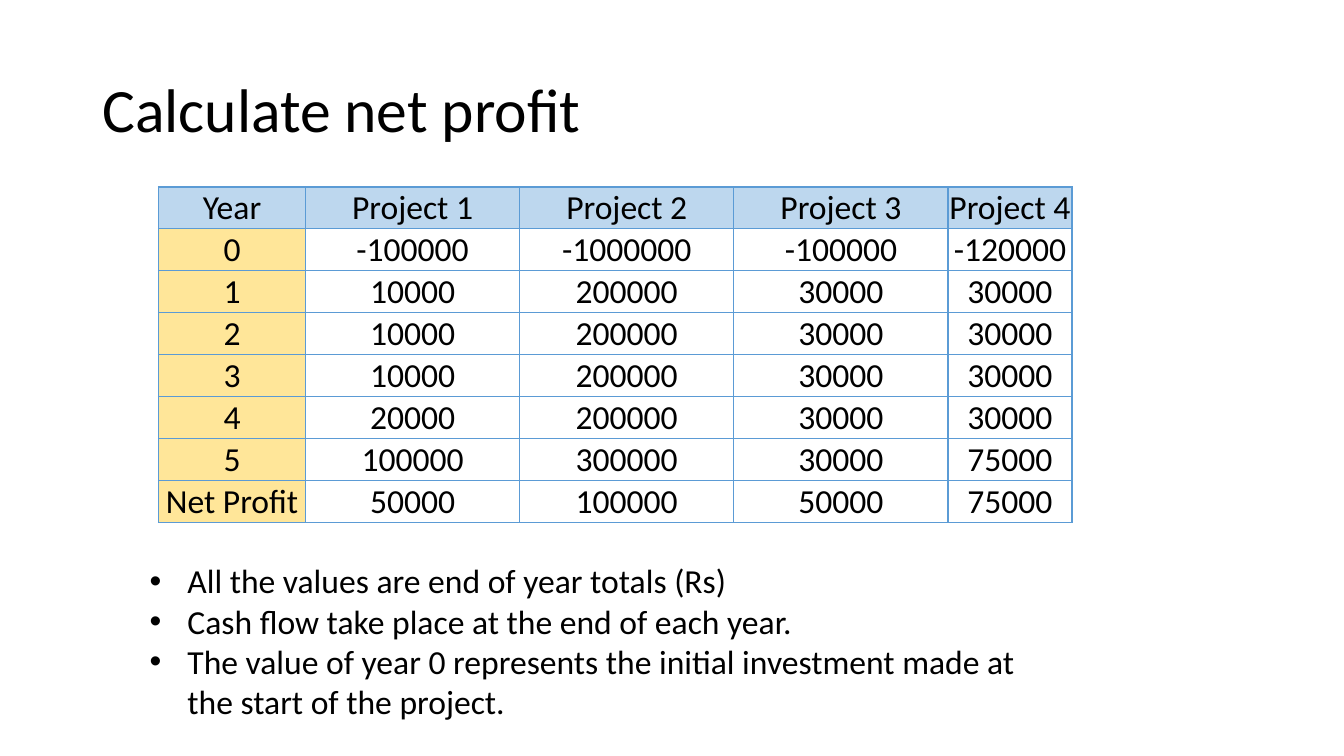
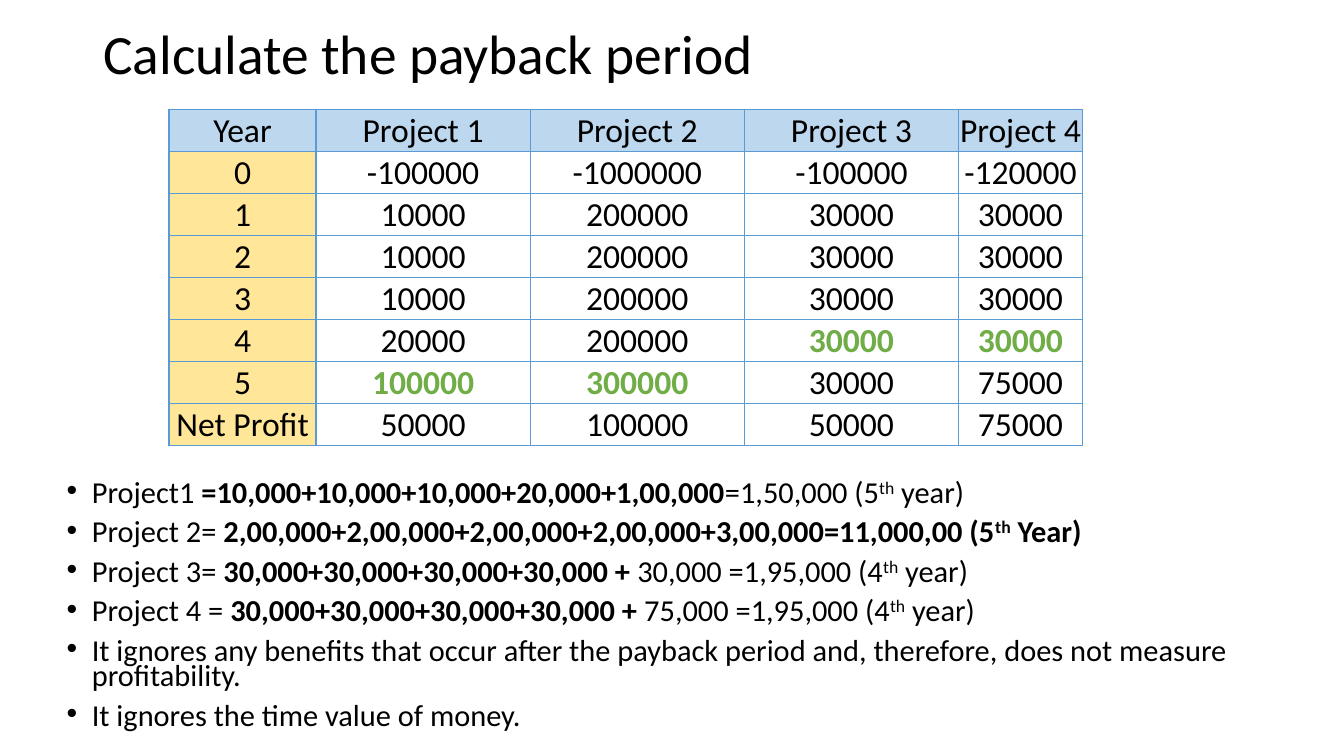
"""Build two slides on net profit and payback period of four projects."""
from lxml import etree
from pptx import Presentation
from pptx import util as u
from pptx.dml.color import RGBColor
from pptx.enum import text
from pptx.oxml import ns

PX = 9525
FONT = "Calibri"
COLORS = {
    "ink": "000000",
    "header": "BDD7EE",
    "year": "FFE699",
    "border": "5B9BD5",
    "payback": "70AD47",
}
COLUMN_WIDTHS = [140, 204, 204, 204, 118]
ROW_HEIGHT = 40
CASH_FLOWS = [
    ["Year", "Project 1", "Project 2", "Project 3", "Project 4"],
    ["0", "-100000", "-1000000", "-100000", "-120000"],
    ["1", "10000", "200000", "30000", "30000"],
    ["2", "10000", "200000", "30000", "30000"],
    ["3", "10000", "200000", "30000", "30000"],
    ["4", "20000", "200000", "30000", "30000"],
    ["5", "100000", "300000", "30000", "75000"],
    ["Net Profit", "50000", "100000", "50000", "75000"],
]
PAYBACK_CELLS = {(6, 1), (6, 2), (5, 3), (5, 4)}

PLAIN, BOLD, RAISED, BOLD_RAISED = (False, False), (True, False), (False, True), (True, True)
PROFIT_NOTES = [
    [("All the values are end of year totals (Rs)", PLAIN)],
    [("Cash flow take place at the end of each year.", PLAIN)],
    [("The value of year 0 represents the initial investment made at "
      "the start of the project.", PLAIN)],
]
PAYBACK_NOTES = [
    [("Project1 ", PLAIN), ("=10,000+10,000+10,000+20,000+1,00,000", BOLD),
     ("=1,50,000 (5", PLAIN), ("th", RAISED), (" year)", PLAIN)],
    [("Project 2= ", PLAIN),
     ("2,00,000+2,00,000+2,00,000+2,00,000+3,00,000=11,000,00 (5", BOLD),
     ("th", BOLD_RAISED), (" Year)", BOLD)],
    [("Project 3= ", PLAIN), ("30,000+30,000+30,000+30,000 + ", BOLD),
     ("30,000 =1,95,000 (4", PLAIN), ("th", RAISED), (" year)", PLAIN)],
    [("Project 4 = ", PLAIN), ("30,000+30,000+30,000+30,000 + ", BOLD),
     ("75,000 =1,95,000 (4", PLAIN), ("th", RAISED), (" year)", PLAIN)],
    [("It ignores any benefits that occur after the payback period and, "
      "therefore, does not measure profitability.", PLAIN)],
    [("It ignores the time value of money.", PLAIN)],
]


def px(*lengths):
    """Turn pixel lengths into EMU."""
    return [length * PX for length in lengths]


def style_span(span, size, color="ink", bold=False, raised=False):
    """Set the font of one run."""
    span.font.name = FONT
    span.font.size = u.Pt(size)
    span.font.bold = bold
    span.font.color.rgb = RGBColor.from_string(COLORS[color])
    if raised:
        span._r.get_or_add_rPr().set("baseline", "30000")


def add_box(page, area):
    """Add a wrapping text box and return its text frame."""
    frame = page.shapes.add_textbox(*px(*area)).text_frame
    frame.word_wrap = True
    return frame


def add_title(page, area, title, size):
    """Add a slide title centred vertically in its area."""
    frame = add_box(page, area)
    frame.vertical_anchor = text.MSO_ANCHOR.MIDDLE
    frame.text = title
    para = frame.paragraphs[0]
    para.line_spacing = 0.9
    style_span(para.runs[0], size)


def add_bullet(para, indent):
    """Give a paragraph a round bullet with a hanging indent."""
    properties = para._p.get_or_add_pPr()
    properties.set("marL", str(indent * PX))
    properties.set("indent", str(-indent * PX))
    etree.SubElement(properties, ns.qn("a:buFont")).set("typeface", "Arial")
    etree.SubElement(properties, ns.qn("a:buChar")).set("char", "•")


def add_notes(page, area, notes, size, indent, spacing=1.0, before=0):
    """Add a bulleted list of styled runs."""
    frame = add_box(page, area)
    for index, note in enumerate(notes):
        para = frame.add_paragraph() if index else frame.paragraphs[0]
        para.line_spacing = spacing
        para.space_before = u.Pt(before)
        add_bullet(para, indent)
        for words, (bold, raised) in note:
            span = para.add_run()
            span.text = words
            style_span(span, size, bold=bold, raised=raised)


def add_borders(cell):
    """Draw a thin line on all four sides of a cell."""
    properties = cell._tc.get_or_add_tcPr()
    for side in ("lnL", "lnR", "lnT", "lnB"):
        line = etree.SubElement(properties, ns.qn("a:" + side), w=str(u.Pt(1)))
        fill = etree.SubElement(line, ns.qn("a:solidFill"))
        etree.SubElement(fill, ns.qn("a:srgbClr"), val=COLORS["border"])


def fill_cell(cell, color):
    """Fill a cell with a named colour, or leave it clear."""
    if color:
        cell.fill.solid()
        cell.fill.fore_color.rgb = RGBColor.from_string(COLORS[color])
    else:
        cell.fill.background()


def write_cell(cell, value, fill, marked):
    """Write one table cell with its borders and fill."""
    cell.margin_left, cell.margin_right, cell.margin_top, cell.margin_bottom = px(1, 1, 1, 0)
    cell.vertical_anchor = text.MSO_ANCHOR.BOTTOM
    add_borders(cell)
    fill_cell(cell, fill)
    cell.text_frame.text = value
    para = cell.text_frame.paragraphs[0]
    para.alignment = text.PP_ALIGN.CENTER
    style_span(para.runs[0], 24, "payback" if marked else "ink", marked)


def add_cash_table(page, left, top, marked=()):
    """Add the cash flow table, marking the given cells."""
    rows, columns = len(CASH_FLOWS), len(COLUMN_WIDTHS)
    area = px(left, top, sum(COLUMN_WIDTHS), rows * ROW_HEIGHT)
    table = page.shapes.add_table(rows, columns, *area).table
    table.first_row = table.horz_banding = False
    for column, width in zip(table.columns, COLUMN_WIDTHS):
        column.width = width * PX
    for row, values in enumerate(CASH_FLOWS):
        for column, value in enumerate(values):
            fill = "header" if row == 0 else "year" if column == 0 else None
            write_cell(table.cell(row, column), value, fill, (row, column) in marked)


def main():
    """Build and save the deck."""
    deck = Presentation()
    deck.slide_width, deck.slide_height = px(1280, 720)
    blank = deck.slide_layouts[6]

    page = deck.slides.add_slide(blank)
    add_title(page, (88, 38, 1104, 139), "Calculate net profit", 44)
    add_cash_table(page, 151, 178)
    add_notes(page, (133, 529, 887, 165), PROFIT_NOTES, 24, 36)

    page = deck.slides.add_slide(blank)
    add_title(page, (89, 28, 1104, 51), "Calculate the payback period", 39.6)
    add_notes(page, (54, 455, 1185, 255), PAYBACK_NOTES, 21.7, 24, 0.7, 10)
    add_cash_table(page, 161, 104, PAYBACK_CELLS)

    deck.save("out.pptx")


if __name__ == "__main__":
    main()
